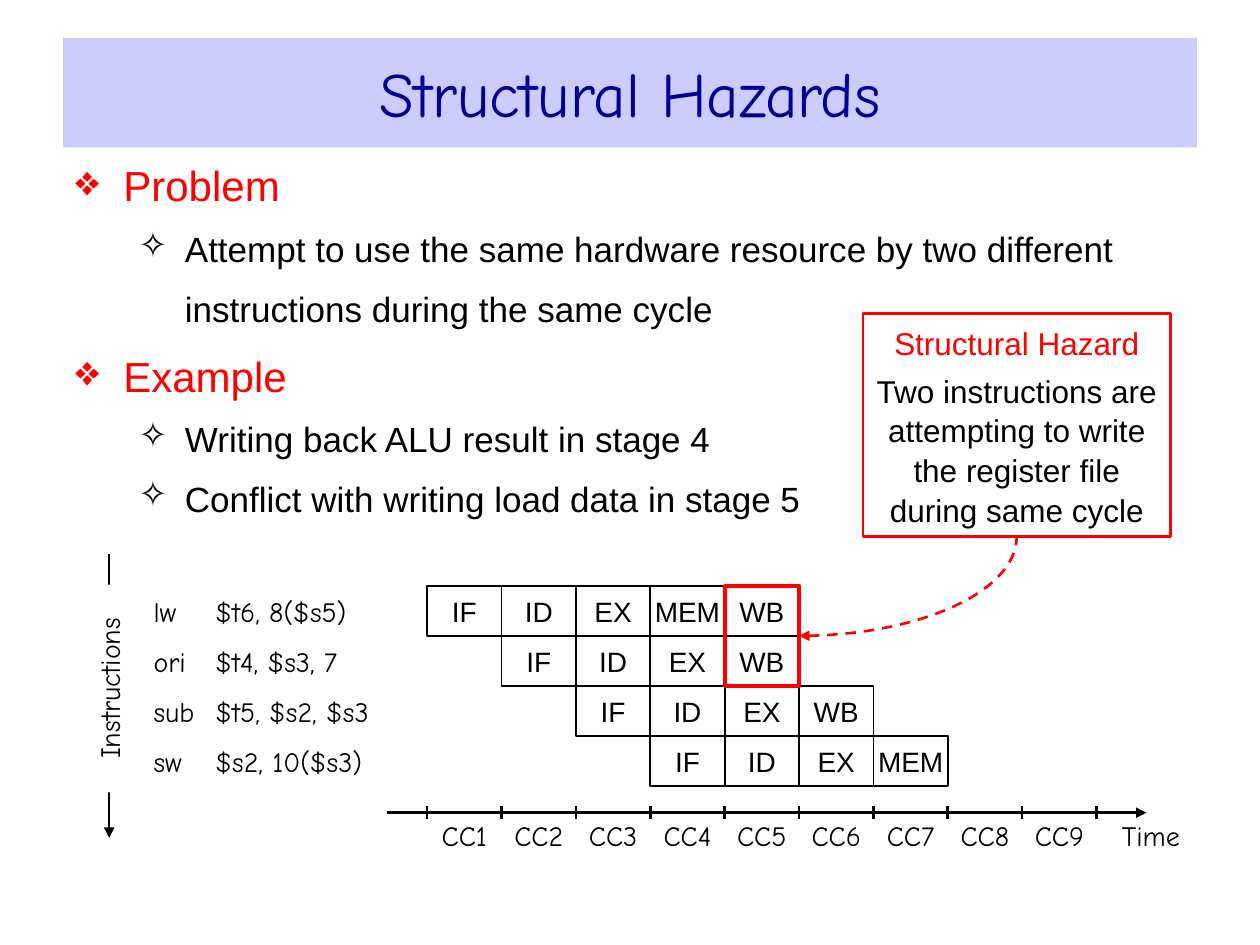
from math import cos, pi, sin

from lxml import etree
from pptx import Presentation
from pptx.dml.color import RGBColor
from pptx.enum.dml import MSO_LINE
from pptx.enum.shapes import MSO_CONNECTOR, MSO_SHAPE
from pptx.enum.text import MSO_ANCHOR, PP_ALIGN
from pptx.oxml.ns import qn
from pptx.util import Pt

RECT = MSO_SHAPE.RECTANGLE
STRAIGHT = MSO_CONNECTOR.STRAIGHT
DASH = MSO_LINE.DASH
MID, TOP = MSO_ANCHOR.MIDDLE, MSO_ANCHOR.TOP
LEFT, MID_AL = PP_ALIGN.LEFT, PP_ALIGN.CENTER
HEX = {"black": "000000", "red": "FF0000", "navy": "000099",
       "lilac": "CCCCFF", "white": "FFFFFF"}
INK = {name: RGBColor.from_string(code) for name, code in HEX.items()}
SANS, HAND = "Arial", "Comic Neue"

deck = Presentation()
deck.slide_width, deck.slide_height = Pt(720), Pt(540)
slide = deck.slides.add_slide(deck.slide_layouts[5])
shapes = slide.shapes


def style(para, size, face=SANS, ink="black", align=MID_AL):
    para.alignment = align
    para.font.size = Pt(size)
    para.font.name = face
    para.font.color.rgb = INK[ink]


def line(x1, y1, x2, y2, width, arrow=False):
    link = shapes.add_connector(STRAIGHT, Pt(x1), Pt(y1), Pt(x2), Pt(y2))
    link.line.width = Pt(width)
    link.line.color.rgb = INK["black"]
    if arrow:
        etree.SubElement(link.line._get_or_add_ln(), qn("a:tailEnd"), type="triangle")
    etree.SubElement(link._element.spPr, qn("a:effectLst"))


title = shapes.title
title.left, title.top, title.width, title.height = Pt(36), Pt(21.6), Pt(648), Pt(62.6)
title.fill.solid()
title.fill.fore_color.rgb = INK["lilac"]
title.text_frame.text = "Structural Hazards"
title.text_frame.vertical_anchor = MID
style(title.text_frame.paragraphs[0], 36, HAND, "navy")

body = shapes.add_textbox(Pt(36), Pt(86.4), Pt(650), Pt(243.4)).text_frame
body.word_wrap = True
points = [
    (0, "❖", "Problem"),
    (1, "✧", "Attempt to use the same hardware resource by two different"),
    (1, None, "instructions during the same cycle"),
    (0, "❖", "Example"),
    (1, "✧", "Writing back ALU result in stage 4"),
    (1, "✧", "Conflict with writing load data in stage 5"),
]
for num, (level, mark, text) in enumerate(points):
    para = body.add_paragraph() if num else body.paragraphs[0]
    para.text = text
    para.level = level
    para.line_spacing = 1.05
    if num:
        para.space_before = Pt(8.8 if level else 10.5)
    ink = "black" if level else "red"
    props = para._p.get_or_add_pPr()
    props.set("marL", str(Pt(62.6 if level else 27.4)))
    props.set("indent", str(Pt((-26.6 if level else -27.4) if mark else 0)))
    if mark:
        tint = etree.SubElement(props, qn("a:buClr"))
        etree.SubElement(tint, qn("a:srgbClr"), val=HEX[ink])
        etree.SubElement(props, qn("a:buChar"), char=mark)
    style(para, 20 if level else 24, SANS, ink, LEFT)

LEFT_X, STEP = 244.1, 42.5
TOP_Y, ROW = 334.8, 28.6
AXIS = 464.4
rows = [
    ("lw\t$t6, 8($s5)", ["IF", "ID", "EX", "MEM", "WB"]),
    ("ori\t$t4, $s3, 7", ["IF", "ID", "EX", "WB"]),
    ("sub\t$t5, $s2, $s3", ["IF", "ID", "EX", "WB"]),
    ("sw\t$s2, 10($s3)", ["IF", "ID", "EX", "MEM"]),
]
for row, (code, stages) in enumerate(rows):
    y = TOP_Y + row * ROW
    label = shapes.add_textbox(Pt(87.8), Pt(y), Pt(151), Pt(ROW)).text_frame
    label.word_wrap = True
    label.margin_left = label.margin_right = 0
    label.vertical_anchor = MID
    para = label.paragraphs[0]
    para.text = code
    tabs = etree.SubElement(para._p.get_or_add_pPr(), qn("a:tabLst"))
    etree.SubElement(tabs, qn("a:tab"), pos=str(Pt(35.3)), algn="l")
    style(para, 16, HAND, align=LEFT)
    for col, stage in enumerate(stages, row):
        cell = shapes.add_shape(RECT, Pt(LEFT_X + col * STEP), Pt(y), Pt(STEP), Pt(ROW))
        cell.shadow.inherit = False
        cell.fill.background()
        cell.line.color.rgb = INK["black"]
        cell.line.width = Pt(1)
        frame = cell.text_frame
        frame.margin_left = frame.margin_right = 0
        frame.vertical_anchor = MID
        frame.text = stage
        style(frame.paragraphs[0], 16)

line(221, AXIS, 655.2, AXIS, 1.5, True)
for tick in range(10):
    x = LEFT_X + tick * STEP
    line(x, AXIS - 3.6, x, AXIS + 3.6, 1.5)

marks = [(f"CC{num + 1}", LEFT_X + num * STEP, STEP) for num in range(9)]
for text, x, width in marks + [("Time", 627, 61.2)]:
    frame = shapes.add_textbox(Pt(x), Pt(468), Pt(width), Pt(21.6)).text_frame
    frame.word_wrap = True
    frame.margin_left = frame.margin_right = frame.margin_top = frame.margin_bottom = 0
    frame.text = text
    style(frame.paragraphs[0], 16, HAND)

line(62.4, 316.8, 62.4, 478.8, 1, True)
side = shapes.add_shape(RECT, Pt(2.9), Pt(379.4), Pt(118.8), Pt(28))
side.rotation = 270
side.shadow.inherit = False
side.fill.solid()
side.fill.fore_color.rgb = INK["white"]
side.line.fill.background()
side.text_frame.text = "Instructions"
side.text_frame.vertical_anchor = MID
style(side.text_frame.paragraphs[0], 16, HAND)

note = shapes.add_shape(RECT, Pt(493.2), Pt(179.3), Pt(175.7), Pt(127.4))
clash = shapes.add_shape(RECT, Pt(LEFT_X + 4 * STEP), Pt(TOP_Y), Pt(STEP), Pt(2 * ROW))
tip_x, tip_y = LEFT_X + 5 * STEP, TOP_Y + ROW
end_x, end_y = 581, 306.7
arc = [(Pt(tip_x + (end_x - tip_x) * sin(turn)), Pt(end_y + (tip_y - end_y) * cos(turn)))
       for turn in (pi / 2 * part / 24 for part in range(25))]
path = shapes.build_freeform(*arc[0])
path.add_line_segments(arc[1:], close=False)
curve = path.convert_to_shape()
for shape, width in (note, 1.5), (clash, 2.25), (curve, 1.5):
    shape.shadow.inherit = False
    shape.fill.background()
    shape.line.color.rgb = INK["red"]
    shape.line.width = Pt(width)
curve.line.dash_style = DASH
etree.SubElement(curve.line._get_or_add_ln(), qn("a:headEnd"), type="triangle")

frame = note.text_frame
frame.margin_left = frame.margin_right = Pt(5.8)
frame.margin_top = frame.margin_bottom = 0
frame.vertical_anchor = MID
frame.text = ("Structural Hazard\n"
              "Two instructions are attempting to write the register file during same cycle")
for para, ink in zip(frame.paragraphs, ("red", "black")):
    para.line_spacing = 1.05
    style(para, 18, SANS, ink)
frame.paragraphs[1].space_before = Pt(4.5)

deck.save("out.pptx")
